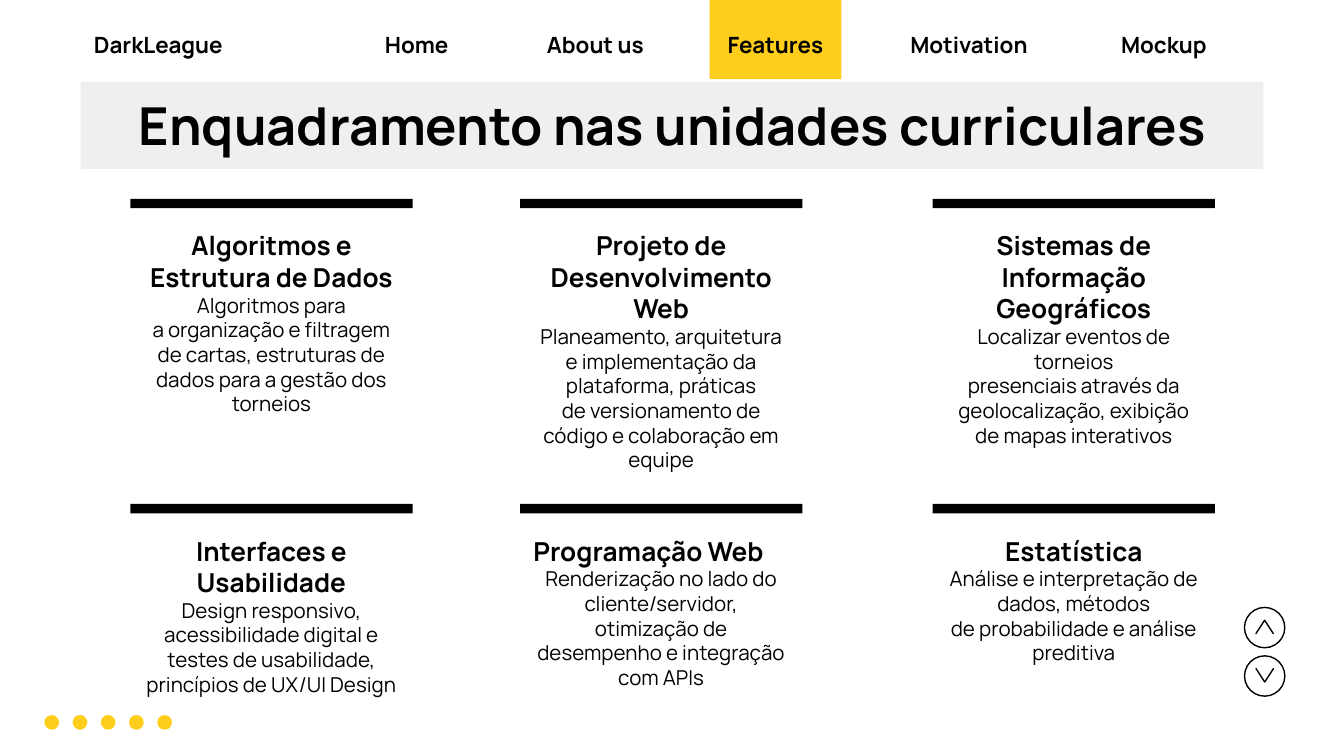
from pptx import Presentation
from pptx.dml.color import RGBColor
from pptx.enum.shapes import MSO_SHAPE as Shape
from pptx.enum.text import MSO_ANCHOR as Anchor, PP_ALIGN as Align
from pptx.util import Inches, Pt

COLORS = {"ink": "000000", "paper": "FFFFFF", "band": "EFEFEF", "accent": "FFCE1C"}
FONT = "Manrope"
NBSP = chr(160)  # keeps two words on one line

NAV = [
    ("DarkLeague", 0.6, 1.98, Align.LEFT),
    ("Home", 2.61, 0.98, Align.CENTER),
    ("About us", 3.94, 0.98, Align.CENTER),
    ("Features", 5.28, 0.98, Align.CENTER),
    ("Motivation", 6.61, 1.2, Align.CENTER),
    ("Mockup", 8.17, 0.98, Align.CENTER),
]
COLUMNS = [0.97, 3.87, 6.94]
ROWS = [(1.48, 2.08), (3.75, 1.32)]  # top of the bar, height of the text
COURSES = [
    [
        ("Algoritmos e Estrutura de Dados", Align.CENTER,
         f"Algoritmos para a{NBSP}organização e filtragem de cartas, "
         "estruturas de dados para a gestão dos torneios"),
        ("Projeto de Desenvolvimento Web", Align.CENTER,
         "Planeamento, arquitetura e implementação da plataforma, práticas "
         f"de{NBSP}versionamento de código{NBSP}e{NBSP}colaboração em equipe"),
        ("Sistemas de Informação Geográficos", Align.CENTER,
         f"Localizar eventos de torneios presenciais{NBSP}através da "
         "geolocalização, exibição de mapas interativos"),
    ],
    [
        ("Interfaces e Usabilidade", Align.CENTER,
         "Design responsivo, acessibilidade digital e testes de "
         f"usabilidade, princípios de{NBSP}UX/UI Design"),
        ("Programação Web", Align.LEFT,
         "Renderização no lado do cliente/servidor, otimização de "
         "desempenho e integração com APIs"),
        ("Estatística", Align.CENTER,
         "Análise e interpretação de dados, métodos "
         f"de{NBSP}probabilidade e análise preditiva"),
    ],
]


def color(name):
    return RGBColor.from_string(COLORS[name])


def add_figure(slide, kind, left, top, width, height, fill, line=None, weight=0.75):
    figure = slide.shapes.add_shape(
        kind, Inches(left), Inches(top), Inches(width), Inches(height))
    figure.shadow.inherit = False
    figure.fill.solid()
    figure.fill.fore_color.rgb = color(fill)
    if line:
        figure.line.color.rgb = color(line)
        figure.line.width = Pt(weight)
    else:
        figure.line.fill.background()
    return figure


def prepare_frame(frame, anchor):
    frame.word_wrap = True
    frame.vertical_anchor = anchor
    frame.margin_left = frame.margin_right = Inches(0.1)
    frame.margin_top = frame.margin_bottom = Inches(0.1)


def write(paragraph, text, size, bold=True, align=Align.CENTER):
    paragraph.alignment = align
    run = paragraph.add_run()
    run.text = text
    run.font.name = FONT
    run.font.size = Pt(size)
    run.font.bold = bold
    run.font.color.rgb = color("ink")


def add_text(slide, left, top, width, height, anchor=Anchor.TOP):
    frame = slide.shapes.add_textbox(
        Inches(left), Inches(top), Inches(width), Inches(height)).text_frame
    prepare_frame(frame, anchor)
    return frame


def place_title(slide, text):
    title = slide.shapes.title
    title.left, title.top = Inches(0.6), Inches(0.59)
    title.width, title.height = Inches(8.8), Inches(0.62)
    prepare_frame(title.text_frame, Anchor.TOP)
    write(title.text_frame.paragraphs[0], text, 28)
    slide.shapes._spTree.append(title._element)  # in front of the band


def add_arrow_button(slide, top, button_turn, arrow_turn):
    button = add_figure(slide, Shape.ROUNDED_RECTANGLE, 9.26, top, 0.3, 0.3,
                        "paper", "ink")
    button.adjustments[0] = 0.5
    button.rotation = button_turn
    arrow = add_figure(slide, Shape.CHEVRON, 9.36, top + 0.08, 0.1, 0.13,
                       "ink", "ink")
    arrow.adjustments[0] = 2
    arrow.rotation = arrow_turn


def add_course(slide, left, top, height, name, align, summary):
    frame = add_text(slide, left, top + 0.13, 2.1, height)
    write(frame.paragraphs[0], name, 14, align=align)
    write(frame.add_paragraph(), summary, 11, bold=False)
    add_figure(slide, Shape.RECTANGLE, left, top, 2.1, 0.07, "ink")


def main():
    deck = Presentation()
    deck.slide_width = Inches(10)
    deck.slide_height = deck.slide_width * 9 // 16
    slide = deck.slides.add_slide(deck.slide_layouts[5])

    add_figure(slide, Shape.RECTANGLE, 0.6, 0.61, 8.8, 1.93, "band")
    for index in range(5):
        add_figure(slide, Shape.OVAL, 0.33 + 0.21 * index, 5.32, 0.11, 0.11, "accent")
    add_figure(slide, Shape.RECTANGLE, 0.6, 1.27, 8.8, 2.12, "paper", "paper", 2)
    place_title(slide, "Enquadramento nas unidades curriculares")

    add_arrow_button(slide, 4.88, 180, 90)
    add_arrow_button(slide, 4.52, 0, 270)

    add_figure(slide, Shape.RECTANGLE, 5.28, -0.02, 0.98, 0.61, "accent")
    for label, left, width, align in NAV:
        frame = add_text(slide, left, 0.23, width, 0.21, Anchor.MIDDLE)
        write(frame.paragraphs[0], label, 12, align=align)

    for (top, height), courses in zip(ROWS, COURSES):
        for left, course in zip(COLUMNS, courses):
            add_course(slide, left, top, height, *course)

    deck.save("out.pptx")


if __name__ == "__main__":
    main()
